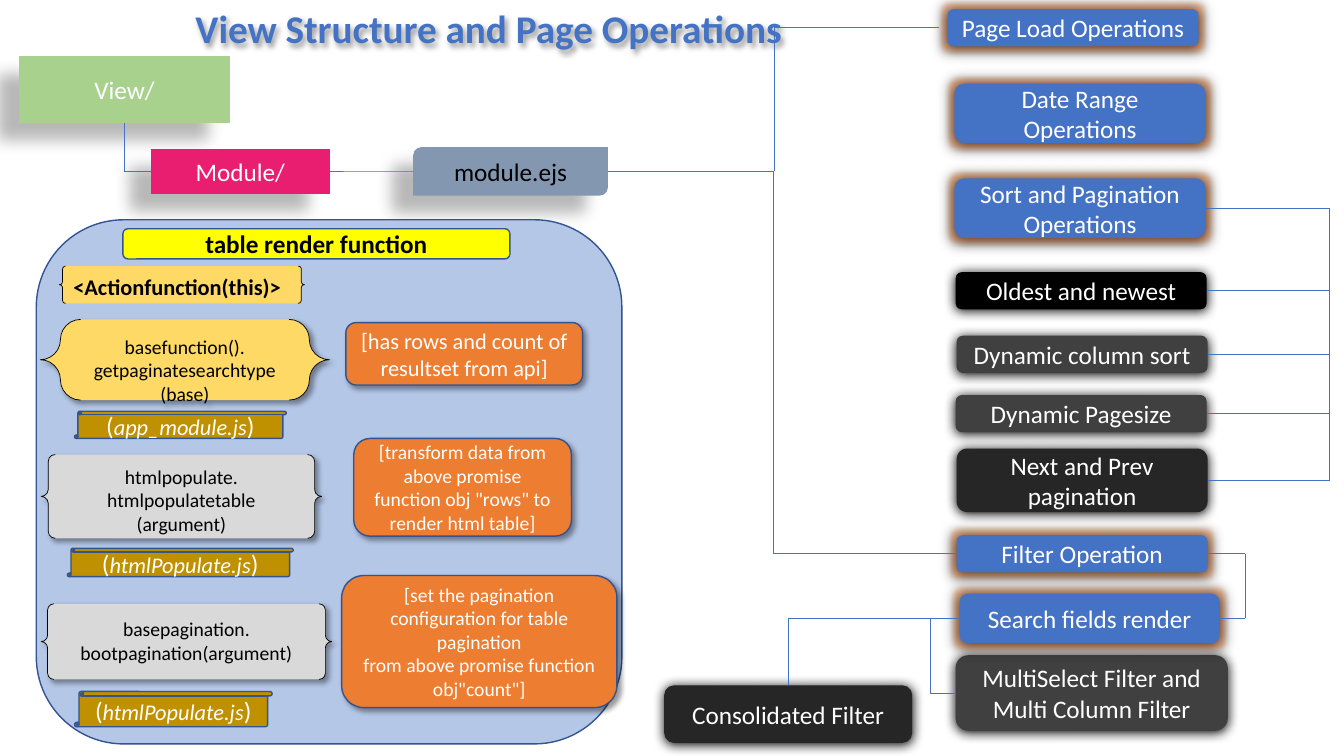
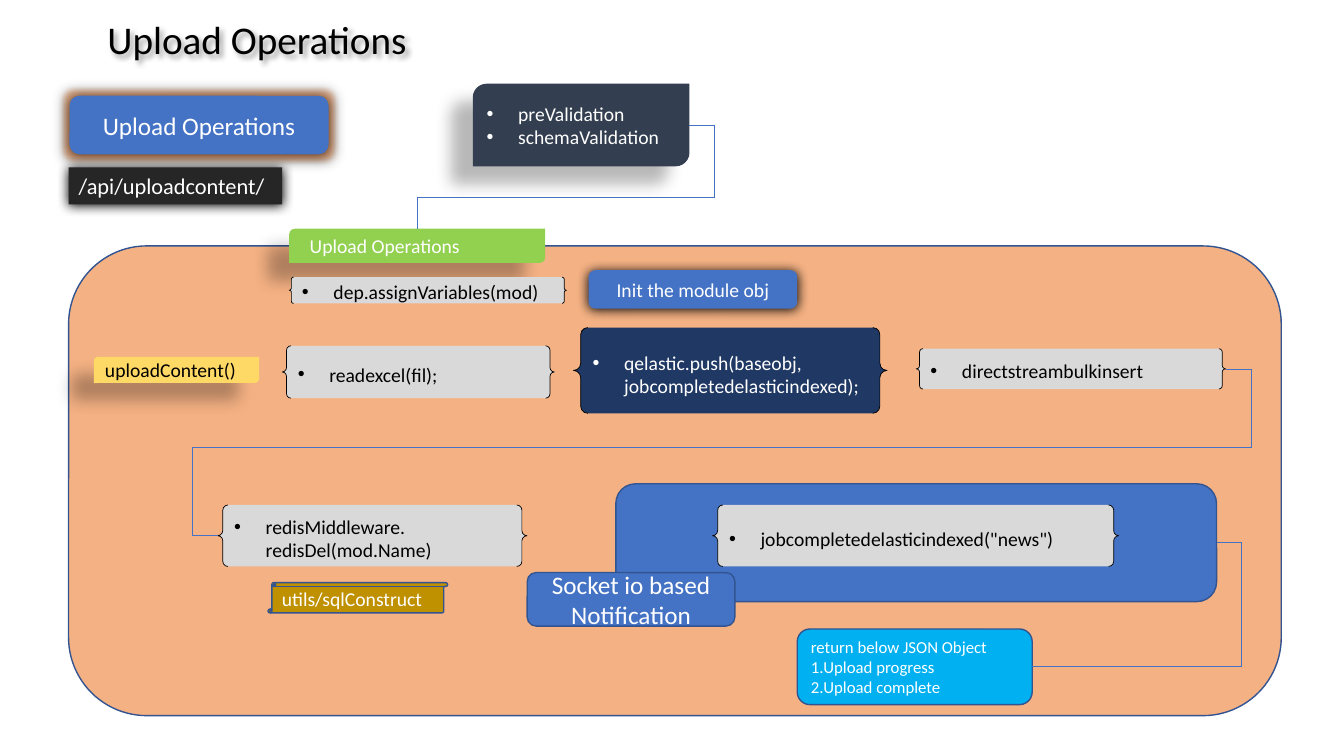
from itertools import pairwise

from lxml import etree
from pptx import Presentation
from pptx.dml.color import RGBColor
from pptx.enum import shapes, text
from pptx.oxml.ns import qn
from pptx.util import Pt

FONT = "Calibri"
BLUE, OUTLINE, WHITE, BLACK = "4472C4", "325491", "FFFFFF", "000000"
GREY, YELLOW, ORANGE, GOLD = "D9D9D9", "FFD966", "ED7D31", "BF9000"
CHARCOAL, COAL = "404040", "262626"
BLACK_TEXT_FILLS = {"8497B0", "FFFF00", GREY, YELLOW}

FAR = [("outerShdw", BLACK, 28, dict(blurRad=11.8, dist=19.7), 141)]
CLOSE = [("outerShdw", BLACK, 100, dict(blurRad=8.5, dist=1), 90)]
SOFT = [("outerShdw", BLACK, 40, dict(blurRad=4, dist=3), 45)]
HALO = [("glow", ORANGE, 40, dict(rad=8), None)] + CLOSE

PRESET = shapes.MSO_SHAPE
LEFT, CENTER = text.PP_ALIGN.LEFT, text.PP_ALIGN.CENTER
TOP, MIDDLE = text.MSO_ANCHOR.TOP, text.MSO_ANCHOR.MIDDLE
THIN, FIRM = (BLACK, 0.5), (OUTLINE, 1)

STYLES = {
    "folder": (PRESET.FLOWCHART_PROCESS, None, FAR, 18, CENTER),
    "module": (PRESET.ROUND_2_DIAG_RECTANGLE, None, FAR, 18, CENTER),
    "step": (PRESET.ROUND_2_DIAG_RECTANGLE, None, FAR, 14, LEFT),
    "operation": (PRESET.FLOWCHART_ALTERNATE_PROCESS, None, HALO, 18, CENTER),
    "detail": (PRESET.FLOWCHART_ALTERNATE_PROCESS, None, CLOSE, 18, CENTER),
    "panel": (PRESET.ROUNDED_RECTANGLE, FIRM, [], 18, CENTER),
    "note": (PRESET.ROUNDED_RECTANGLE, FIRM, SOFT, 14, CENTER),
    "init": (PRESET.ROUNDED_RECTANGLE, None, CLOSE, 14, CENTER),
    "reply": (PRESET.ROUNDED_RECTANGLE, FIRM, [], 12, LEFT),
    "call": (PRESET.DOUBLE_BRACE, THIN, SOFT, 14, CENTER),
    "code": (PRESET.DOUBLE_BRACE, THIN, [], 14, LEFT),
    "file": (PRESET.VERTICAL_SCROLL, FIRM, [], 16, CENTER),
    "folder file": (PRESET.VERTICAL_SCROLL, FIRM, [], 14, LEFT),
    "path": (PRESET.RECTANGLE, None, CLOSE, 16, LEFT),
}
JOINABLE = {"folder", "operation", "detail", "panel", "reply"}

SIDES = ["top", "left", "bottom", "right"]
BUS_X = 949.7

SLIDES = [
    {
        "title": ("View Structure and Page Operations", (132.5, 2.2, 717.8, 38.2), BLUE, True, LEFT),
        "parts": [
            ("View/", "folder", "A9D18E", (13.7, 40.3, 150.5, 47.5)),
            ("Module/", "folder", "EA1E71", (108, 106.6, 127.4, 31.7)),
            ("module.ejs", "module", "8497B0", (295.2, 105.1, 139, 34.6)),
            ("Page Load Operations", "operation", BLUE, (676.8, 6.5, 179.3, 26.6)),
            ("Date Range Operations", "operation", BLUE, (681.8, 59.8, 179.3, 42.5)),
            ("Sort and Pagination Operations", "operation", BLUE, (681.8, 127.4, 179.3, 42.5)),
            ("Oldest and newest", "detail", BLACK, (682.6, 194.4, 179.3, 26.6)),
            ("Dynamic column sort", "detail", CHARCOAL, (683.3, 239.8, 179.3, 26.6)),
            ("Dynamic Pagesize", "detail", CHARCOAL, (682.6, 282.2, 179.3, 26.6)),
            ("Next and Prev pagination", "detail", COAL, (683.3, 320.4, 179.3, 45.4)),
            ("Filter Operation", "operation", BLUE, (683.3, 382.3, 179.3, 26.6)),
            ("MultiSelect Filter and Multi Column Filter", "detail", CHARCOAL, (682.6, 468, 194.4, 54)),
            ("Consolidated Filter", "detail", COAL, (474.5, 489.6, 177.1, 41)),
            ("Search fields render", "operation", BLUE, (685.4, 424.1, 185.8, 35.3)),
            ("", "panel", "B4C7E7", (25.9, 157, 418.3, 374.4)),
            ("table render function", "panel", "FFFF00", (87.8, 163.4, 276.5, 21.6), {"bold": True}),
            ("<Actionfunction(this)>", "code", YELLOW, (42.5, 190.1, 175, 26.6), {"bold": True, "size": 16}),
            ("basefunction().\ngetpaginatesearchtype\n(base)", "call", YELLOW,
             (28.8, 228.2, 206.6, 57.6), {"curve": 0.25}),
            ("[has rows and count of resultset from api]", "note", ORANGE,
             (247, 230.4, 169.2, 44.6), {"size": 16}),
            ("(app_module.js)", "file", GOLD, (53.3, 293.8, 151.2, 19.4)),
            ("htmlpopulate.\nhtmlpopulatetable\n(argument)", "call", GREY, (29.5, 324.7, 200.2, 59.8)),
            ("[transform data from above promise function obj \"rows\" to render html table]", "note", ORANGE,
             (252.7, 313.2, 155.5, 69.8)),
            ("(htmlPopulate.js)", "file", GOLD, (48.2, 391.7, 161.3, 20.2)),
            ("basepagination.\nbootpagination(argument)", "call", GREY,
             (29.5, 431.3, 207.4, 54), {"anchor": TOP}),
            ("[set the pagination configuration for table pagination\nfrom above promise function obj\"count\"]",
             "note", ORANGE, (244.1, 411.1, 196.6, 94.3)),
            ("(htmlPopulate.js)", "file", GOLD, (53.3, 493.9, 141.1, 25.2)),
        ],
        "routes": [
            (("Module/", "left"), [88.95], ("View/", "bottom")),
            (("Module/", "right"), [], ("module.ejs", "left")),
            (("module.ejs", "right"), [553], (671, 19.8)),
            (("module.ejs", "right"), [552.2], ("Filter Operation", "left")),
            (("Sort and Pagination Operations", "right"), [BUS_X], (BUS_X, 343.1)),
            (("Oldest and newest", "right"), [], (BUS_X, 207.7)),
            (("Dynamic column sort", "right"), [], (BUS_X, 253.1)),
            (("Dynamic Pagesize", "right"), [], (BUS_X, 295.5)),
            (("Next and Prev pagination", "right"), [], (BUS_X, 343.1)),
            (("Filter Operation", "right"), [889.2], ("Search fields render", "right")),
            (("Search fields render", "left"), [563.05], ("Consolidated Filter", "top")),
            (("Search fields render", "left"), [664.6], ("MultiSelect Filter and Multi Column Filter", "left")),
        ],
    },
    {
        "title": ("Upload Operations", (30.2, 10.1, 306.7, 38.2), BLACK, False, CENTER),
        "parts": [
            ("", "panel", "F4B183", (49, 175.7, 866.2, 335.5)),
            ("• preValidation\n• schemaValidation", "step", "333F50", (337.7, 59.8, 154.8, 59)),
            ("Upload Operations", "step", "92D050", (206.6, 163.4, 182.9, 24.5), {"indent": 6.4}),
            ("• dep.assignVariables(mod)", "code", GREY, (206.6, 198, 198, 18.7)),
            ("Init the module obj", "init", BLUE, (420.5, 193, 149, 27.4)),
            ("uploadContent()", "step", YELLOW, (67, 254.9, 118.1, 18.7)),
            ("Upload Operations", "operation", BLUE, (49.7, 68.4, 185, 41.8)),
            ("• readexcel(fil);", "code", GREY, (201.6, 247, 194.4, 37.4)),
            ("• qelastic.push(baseobj, jobcompletedelasticindexed);", "code", "203864", (409.7, 234, 223.9, 61.2)),
            ("• directstreambulkinsert", "code", GREY, (654.5, 249.1, 221, 28.8)),
            ("• redisMiddleware.\nredisDel(mod.Name)", "code", GREY, (155.5, 360.7, 221, 43.9)),
            ("utils/sqlConstruct", "folder file", GOLD, (191.5, 416.2, 128.2, 21.6)),
            ("", "panel", BLUE, (439.9, 345.6, 429.1, 84.2)),
            ("• jobcompletedelasticindexed(\"news\")", "code", GREY, (509, 360.7, 290.2, 43.9)),
            ("return below JSON Object\n1.Upload progress\n2.Upload complete", "reply", "00B0F0",
             (569.5, 449.3, 167.8, 54)),
            ("/api/uploadcontent/", "path", COAL, (49, 119.5, 152.6, 26.6), {"anchor": TOP}),
            ("Socket io based Notification", "panel", BLUE, (376.6, 409, 148.3, 38.2)),
        ],
        "routes": [
            (("• preValidation\n• schemaValidation", "right"), [510.5, 141.1], (298.1, 163.4)),
            (("• directstreambulkinsert", "right"), [893.5, 319.7, 137.5],
             ("• redisMiddleware.\nredisDel(mod.Name)", "left")),
            (("return below JSON Object\n1.Upload progress\n2.Upload complete", "right"), [887], (869, 387.7)),
        ],
    },
]


def rgb(value):
    return RGBColor.from_string(value)


def set_font(font, size, color, bold=False):
    font.name, font.size, font.bold = FONT, Pt(size), bold
    font.color.rgb = rgb(color)


def add_effects(shape, effects):
    shape.shadow.inherit = False
    holder = shape._element.spPr.find(qn("a:effectLst"))
    for kind, color, opacity, lengths, angle in effects:
        effect = etree.SubElement(holder, qn("a:" + kind))
        for name, value in lengths.items():
            effect.set(name, str(int(Pt(value))))
        if angle is not None:
            effect.set("dir", str(angle * 60000))
            effect.set("algn", "ctr")
            effect.set("rotWithShape", "0")
        tint = etree.SubElement(effect, qn("a:srgbClr"), val=color)
        etree.SubElement(tint, qn("a:alpha"), val=str(opacity * 1000))


def add_title(slide, words, box, color, bold, align):
    title = slide.shapes.add_textbox(*map(Pt, box))
    add_effects(title, SOFT)
    frame = title.text_frame
    frame.word_wrap = True
    frame.vertical_anchor = text.MSO_ANCHOR.BOTTOM
    line = frame.paragraphs[0]
    line.text, line.alignment, line.line_spacing = words, align, 0.9
    set_font(line.font, 28, color, bold)


def set_indent(line, left, bullet=False):
    props = line._p.get_or_add_pPr()
    props.set("marL", str(int(Pt(left))))
    props.set("indent", str(int(Pt(-left if bullet else 0))))
    if bullet:
        etree.SubElement(props, qn("a:buFont"), typeface="Arial")
        etree.SubElement(props, qn("a:buChar"), char="•")


def add_part(slide, words, style, fill, box, options=None):
    options = options or {}
    preset, outline, effects, size, align = STYLES[style]
    part = slide.shapes.add_shape(preset, *map(Pt, box))
    part.fill.solid()
    part.fill.fore_color.rgb = rgb(fill)
    if outline:
        part.line.color.rgb = rgb(outline[0])
        part.line.width = Pt(outline[1])
    else:
        part.line.fill.background()
    add_effects(part, effects)
    if "curve" in options:
        part.adjustments[0] = options["curve"]
    if not words:
        return part

    frame = part.text_frame
    frame.word_wrap = True
    frame.vertical_anchor = options.get("anchor", MIDDLE)
    color = BLACK if fill in BLACK_TEXT_FILLS else WHITE
    left = 22.5 if words.startswith("•") else options.get("indent", 0)
    for number, content in enumerate(words.split("\n")):
        line = frame.add_paragraph() if number else frame.paragraphs[0]
        line.alignment = align
        if left:
            set_indent(line, left, content.startswith("•"))
        set_font(line.font, options.get("size", size), color, options.get("bold", False))
        if style == "file":
            for piece in ("(", content[1:-1], ")"):
                run = line.add_run()
                run.text = piece
                run.font.italic = len(piece) > 1
                run.font.size = Pt(size if len(piece) > 1 else 18)
        else:
            line.add_run().text = content.removeprefix("• ")
    return part


def locate(end, boxes):
    if not isinstance(end[0], str):
        return end
    x, y, w, h = boxes[end[0]]
    return {"top": (x + w / 2, y), "left": (x, y + h / 2),
            "bottom": (x + w / 2, y + h), "right": (x + w, y + h / 2)}[end[1]]


def corners(start, bends, finish):
    points = [start]
    for number, bend in enumerate(bends):
        x, y = points[-1]
        points.append((x, bend) if number % 2 else (bend, y))
    if bends:
        x, y = points[-1]
        points.append((x, finish[1]) if len(bends) % 2 else (finish[0], y))
    if points[-1] != finish:
        points.append(finish)
    return points


def add_route(slide, start, bends, finish, boxes, anchors):
    points = corners(locate(start, boxes), bends, locate(finish, boxes))
    legs = []
    for (x1, y1), (x2, y2) in pairwise(points):
        leg = slide.shapes.add_connector(shapes.MSO_CONNECTOR.STRAIGHT, Pt(x1), Pt(y1), Pt(x2), Pt(y2))
        leg.line.color.rgb = rgb(BLUE)
        leg.line.width = Pt(0.5)
        etree.SubElement(leg._element.spPr, qn("a:effectLst"))
        legs.append(leg)
    if start[0] in anchors:
        legs[0].begin_connect(anchors[start[0]], SIDES.index(start[1]))
    if finish[0] in anchors:
        legs[-1].end_connect(anchors[finish[0]], SIDES.index(finish[1]))


def main():
    deck = Presentation()
    deck.slide_width, deck.slide_height = Pt(960), Pt(540)
    for content in SLIDES:
        slide = deck.slides.add_slide(deck.slide_layouts[6])
        add_title(slide, *content["title"])
        boxes, anchors = {}, {}
        for part in content["parts"]:
            drawn = add_part(slide, *part)
            words, style, _, box = part[:4]
            boxes[words] = box
            if style in JOINABLE:
                anchors[words] = drawn
        for route in content["routes"]:
            add_route(slide, *route, boxes, anchors)
    deck.save("out.pptx")


if __name__ == "__main__":
    main()
